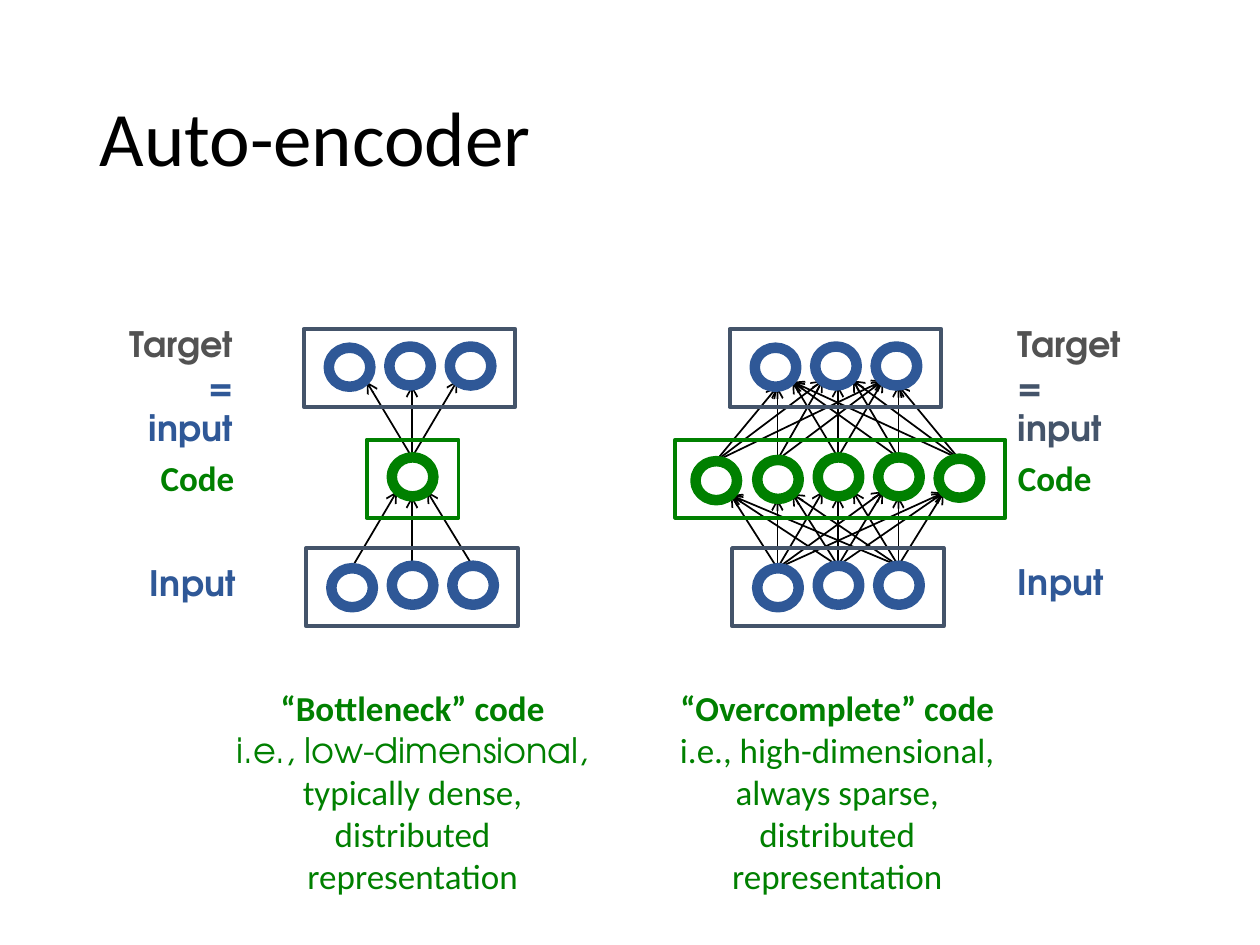
from lxml import etree
from pptx import Presentation
from pptx.dml.color import RGBColor
from pptx.enum.shapes import MSO_CONNECTOR, MSO_SHAPE
from pptx.enum.text import MSO_ANCHOR, PP_ALIGN
from pptx.oxml.ns import qn
from pptx.util import Pt

PX = 9144  # 100 px to the inch
LEFT, CENTER, RIGHT = PP_ALIGN.LEFT, PP_ALIGN.CENTER, PP_ALIGN.RIGHT
TOP, MIDDLE = MSO_ANCHOR.TOP, MSO_ANCHOR.MIDDLE
OVAL, RECTANGLE = MSO_SHAPE.OVAL, MSO_SHAPE.RECTANGLE
STRAIGHT = MSO_CONNECTOR.STRAIGHT

BLACK = RGBColor(0x00, 0x00, 0x00)
GREEN = RGBColor(0x00, 0x80, 0x00)
BLUE = RGBColor(0x2F, 0x58, 0x97)
SLATE = RGBColor(0x44, 0x54, 0x6A)
GREY = RGBColor(0x52, 0x52, 0x52)

BODY, GEOMETRIC = "Calibri", "TeX Gyre Adventor"
UNIT_W, UNIT_H = 33, 31
HEAD_SHIFT, HEAD_LIFT = 12, 4  # where a slanted arrow meets a unit

prs = Presentation()
prs.slide_width, prs.slide_height = 1000 * PX, 750 * PX
slide = prs.slides.add_slide(prs.slide_layouts[5])


def write(box, lines, size=20, align=LEFT, anchor=TOP, wrap=False, spacing=None):
    """Fill one paragraph; each line is (text, font, colour, bold)."""
    frame = box.text_frame
    frame.word_wrap, frame.vertical_anchor = wrap, anchor
    paragraph = frame.paragraphs[0]
    paragraph.alignment, paragraph.line_spacing = align, spacing
    for number, (text, font, colour, bold) in enumerate(lines):
        if number:
            paragraph.add_line_break()
        run = paragraph.add_run()
        run.text = text
        run.font.name, run.font.size, run.font.bold = font, Pt(size), bold
        run.font.color.rgb = colour


def outline(shapes, kind, box, colour, width):
    shape = shapes.add_shape(kind, *[n * PX for n in box])
    shape.shadow.inherit = False
    shape.fill.background()
    shape.line.color.rgb = colour
    shape.line.width = Pt(width)


# Title
title = slide.shapes.title
title.left, title.top, title.width, title.height = [n * PX for n in (69, 40, 862, 145)]
write(title, [("Auto-encoder", BODY, BLACK, False)],
      size=44, anchor=MIDDLE, wrap=True, spacing=0.9)

# Networks: shift, code units, code frame, and the (source, target) pairs
# whose arrow meets the middle of the target
networks = [
    (0, [(311, 363)], (291, 349, 73, 62), {(1, 0)}, {(0, 1)}),
    (338, [(552, 366), (601, 365), (649, 363), (697, 363), (745, 364)],
     (536, 349, 262, 62), {(0, 1), (1, 2), (2, 3)},
     {(0, 0), (1, 0), (2, 1), (3, 2), (4, 2)}),
]
for shift, code, code_frame, into_code, into_target in networks:
    inputs = [(shift + 263 + 48 * i, y) for i, y in enumerate((451, 449, 449))]
    targets = [(shift + 261 + 48 * i, y) for i, y in enumerate((276, 275, 275))]

    # Arrows from each layer to the next; those to the target follow the input columns
    for sources, ends, offset, centred in ((inputs, code, 0, into_code),
                                           (code, targets, 2, into_target)):
        for s, (source_x, source_y) in enumerate(sources):
            for e, (end_x, end_y) in enumerate(ends):
                start_x = source_x + UNIT_W // 2
                head_x = end_x + offset + UNIT_W // 2
                head_y = end_y + UNIT_H
                if (s, e) not in centred:
                    head_x += HEAD_SHIFT if start_x > head_x else -HEAD_SHIFT
                    head_y -= HEAD_LIFT
                arrow = slide.shapes.add_connector(
                    STRAIGHT, start_x * PX, source_y * PX, head_x * PX, head_y * PX)
                arrow.line.color.rgb = BLACK
                arrow.line.width = Pt(1)
                etree.SubElement(arrow.line._get_or_add_ln(), qn("a:tailEnd"), type="arrow")
                etree.SubElement(arrow._element.spPr, qn("a:effectLst"))

    # Layers: units and the frame around them
    layers = [
        (slide.shapes.add_group_shape().shapes, inputs, BLUE,
         (shift + 243, 435, 168, 62), SLATE),
        (slide.shapes, code, GREEN, code_frame, GREEN),
        (slide.shapes.add_group_shape().shapes, targets, BLUE,
         (shift + 241, 261, 168, 62), SLATE),
    ]
    for shapes, units, unit_colour, frame_box, frame_colour in layers:
        for x, y in units:
            outline(shapes, OVAL, (x, y, UNIT_W, UNIT_H), unit_colour, 6)
        outline(shapes, RECTANGLE, frame_box, frame_colour, 2.25)

# Layer labels on both sides, then the captions
code_label = [("Code", BODY, GREEN, True)]
input_label = [("Input", GEOMETRIC, BLUE, True)]
target_left, target_right = [
    [("Target", GEOMETRIC, GREY, True), ("= input", GEOMETRIC, colour, True)]
    for colour in (BLUE, SLATE)]
bottleneck, overcomplete = [
    [(name, BODY, GREEN, True), (dimension, font, GREEN, False)]
    + [(text, BODY, GREEN, False) for text in (density, "distributed", "representation")]
    for name, dimension, font, density in (
        ("“Bottleneck” code", "i.e., low-dimensional,", GEOMETRIC, "typically dense,"),
        ("“Overcomplete” code", "i.e., high-dimensional,", BODY, "always sparse,"))]
for box, lines, align, wrap in (
    ((85, 251, 110, 77), target_left, RIGHT, True),
    ((100, 357, 96, 44), code_label, RIGHT, False),
    ((108, 441, 89, 44), input_label, RIGHT, False),
    ((798, 251, 110, 77), target_right, LEFT, True),
    ((798, 357, 96, 44), code_label, LEFT, False),
    ((798, 440, 89, 44), input_label, LEFT, False),
    ((176, 540, 303, 178), bottleneck, CENTER, False),
    ((502, 540, 325, 178), overcomplete, CENTER, False),
):
    write(slide.shapes.add_textbox(*[n * PX for n in box]), lines, align=align, wrap=wrap)

prs.save("out.pptx")
